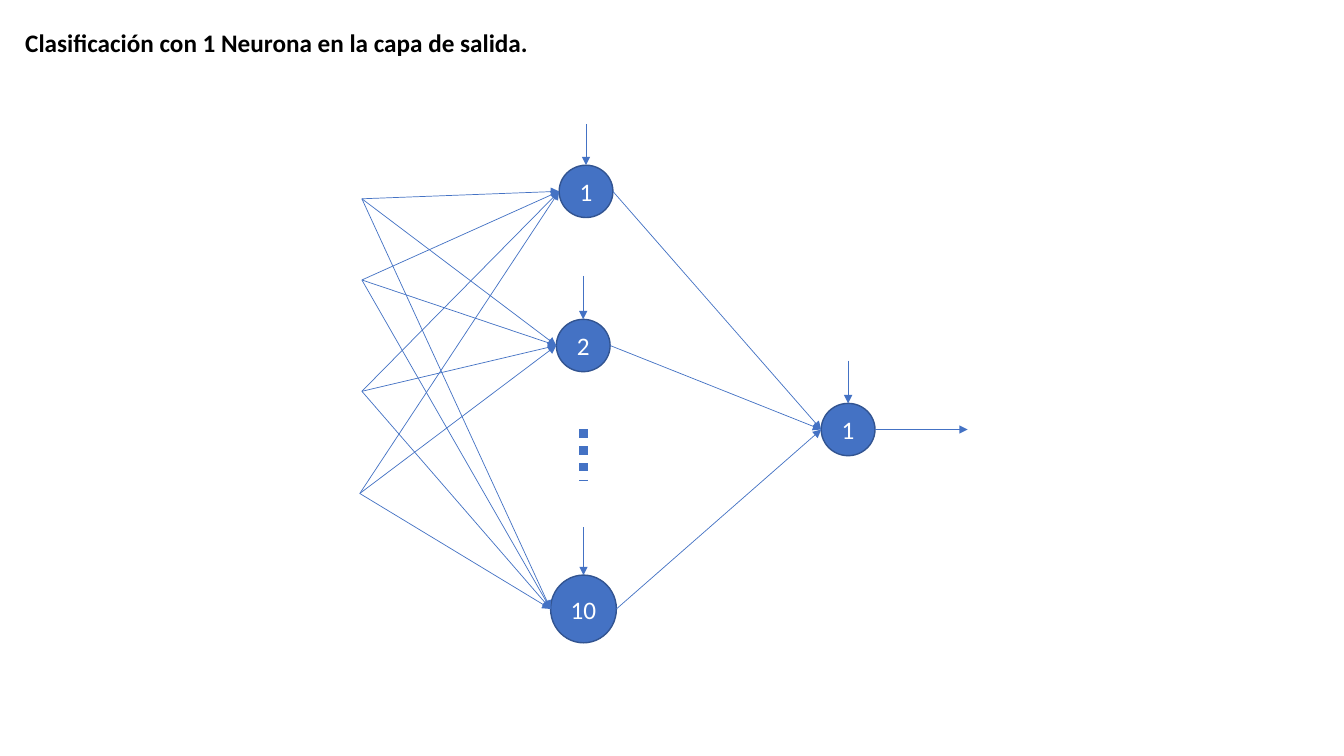
from dataclasses import dataclass

from lxml import etree
from pptx import Presentation
from pptx.dml.color import RGBColor
from pptx.enum import dml, shapes, text
from pptx.oxml import ns
from pptx.util import Pt

BLUE = "4472C4"
OUTLINE = "325491"
WHITE = "FFFFFF"
BLACK = "000000"


@dataclass
class Neuron:
    label: str
    x: float
    y: float
    width: float
    height: float
    bias_length: float

    @property
    def top(self):
        return self.x, self.y - self.height / 2

    @property
    def entry(self):
        return self.x - self.width / 2, self.y

    @property
    def exit(self):
        return self.x + self.width / 2, self.y


def color(value):
    return RGBColor.from_string(value)


def style_text(frame, ink, alignment, bold=False):
    paragraph = frame.paragraphs[0]
    paragraph.alignment = alignment
    font = paragraph.runs[0].font
    font.name = "Calibri"
    font.size = Pt(18)
    font.bold = bold
    font.color.rgb = color(ink)


def add_title(slide, wording):
    title = slide.shapes.title
    title.left, title.top = Pt(10.8), Pt(15.8)
    title.width, title.height = Pt(376.6), Pt(29)
    frame = title.text_frame
    frame.text = wording
    frame.word_wrap = False
    frame.auto_size = text.MSO_AUTO_SIZE.SHAPE_TO_FIT_TEXT
    frame.vertical_anchor = text.MSO_ANCHOR.TOP
    style_text(frame, BLACK, text.PP_ALIGN.LEFT, bold=True)


def add_line(slide, start, end, weight=0.5):
    line = slide.shapes.add_connector(
        shapes.MSO_CONNECTOR.STRAIGHT, *(Pt(v) for v in (*start, *end)))
    line.line.color.rgb = color(BLUE)
    line.line.width = Pt(weight)
    etree.SubElement(line.element.spPr, ns.qn("a:effectLst"))
    return line


def add_arrow(slide, start, end):
    arrow = add_line(slide, start, end)
    outline = arrow.line._get_or_add_ln()
    etree.SubElement(outline, ns.qn("a:tailEnd"), type="triangle")


def add_neuron(slide, neuron):
    circle = slide.shapes.add_shape(
        shapes.MSO_SHAPE.OVAL, Pt(neuron.entry[0]), Pt(neuron.top[1]),
        Pt(neuron.width), Pt(neuron.height))
    circle.shadow.inherit = False
    circle.fill.solid()
    circle.fill.fore_color.rgb = color(BLUE)
    circle.line.color.rgb = color(OUTLINE)
    circle.line.width = Pt(1)
    frame = circle.text_frame
    frame.text = neuron.label
    frame.word_wrap = False
    frame.vertical_anchor = text.MSO_ANCHOR.MIDDLE
    style_text(frame, WHITE, text.PP_ALIGN.CENTER)
    x, y = neuron.top
    add_arrow(slide, (x, y - neuron.bias_length), (x, y))


def main():
    deck = Presentation()
    deck.slide_width, deck.slide_height = Pt(960), Pt(540)
    slide = deck.slides.add_slide(deck.slide_layouts[5])
    add_title(slide, "Clasificación con 1 Neurona en la capa de salida.")

    inputs = [(258.5, 142), (258.5, 200), (258.5, 279.5), (257, 352.5)]
    hidden = [
        Neuron("1", 418.6, 136.7, 38.4, 37.4, 29.5),
        Neuron("2", 416.6, 246.8, 38.4, 37.4, 31),
        Neuron("10", 416.8, 435, 47, 48.4, 34),
    ]
    output = Neuron("1", 605.8, 306.8, 38.4, 37.4, 30.5)

    for neuron in hidden + [output]:
        add_neuron(slide, neuron)
    for neuron in hidden:
        for source in inputs:
            add_arrow(slide, source, neuron.entry)
        add_arrow(slide, neuron.exit, output.entry)
    add_arrow(slide, output.exit, (691.2, output.y))

    omitted = add_line(slide, (416.8, 306.7), (416.8, 343.4), weight=6)
    omitted.line.dash_style = dml.MSO_LINE.ROUND_DOT
    deck.save("out.pptx")


if __name__ == "__main__":
    main()
